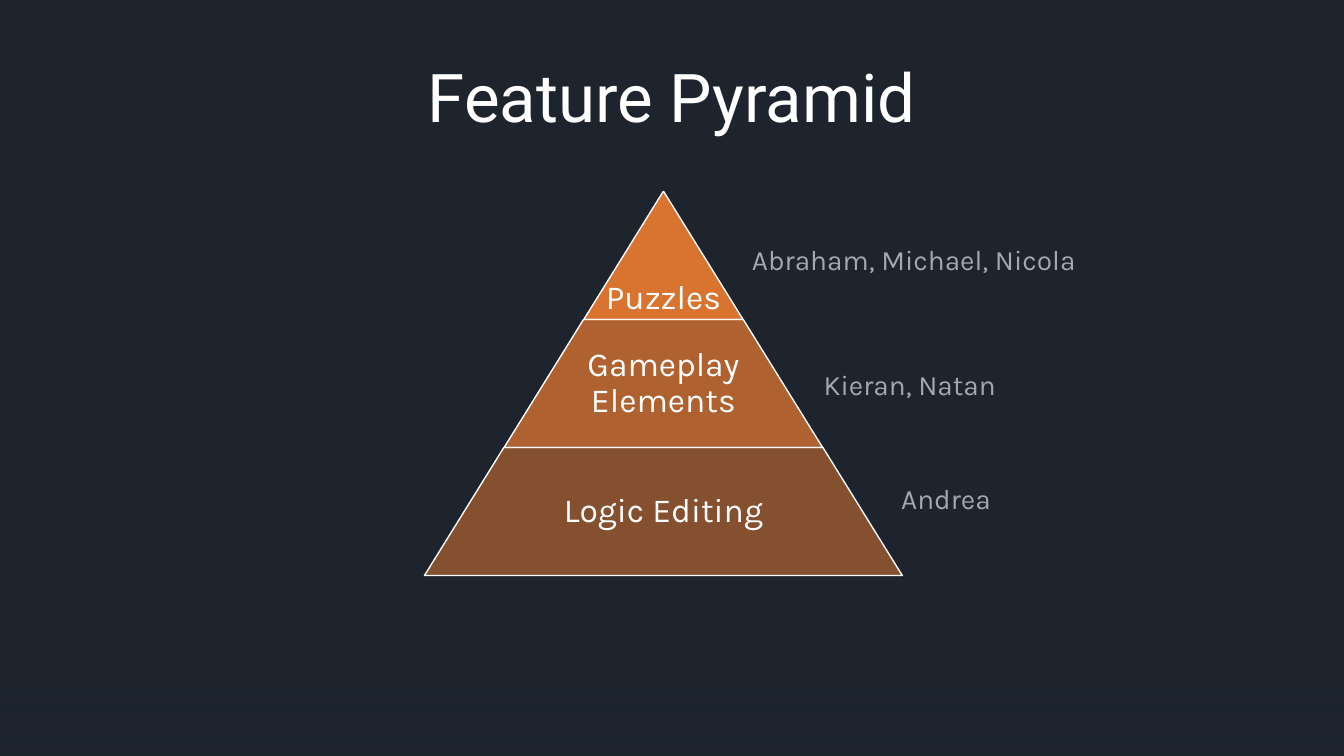
"""Build the Feature Pyramid slide: three tiers with the people behind each."""
from dataclasses import dataclass

from lxml import etree
from pptx import Presentation
from pptx.dml.color import RGBColor
from pptx.enum import shapes, text
from pptx.oxml import ns
from pptx.util import Inches, Pt

NIGHT, ORANGE, WHITE = "1D242E", "ED7D31", "FFFFFF"
SLIDE_WIDTH, SLIDE_HEIGHT = 13.33, 7.5
APEX_X, APEX_Y = 6.58, 1.9
TIER_HEIGHT, TIER_STEP = 1.27, 1.58
SLOPE = 0.62


@dataclass
class Tier:
    label: str
    label_width: float
    anchor: text.MSO_ANCHOR
    opacity: int
    team: str
    team_left: float
    team_top: float


TIERS = [
    Tier("Puzzles", 1.58, text.MSO_ANCHOR.BOTTOM, 90, "Abraham, Michael, Nicola", 7.36, 2.32),
    Tier("Gameplay Elements", 2.06, text.MSO_ANCHOR.MIDDLE, 70, "Kieran, Natan", 8.07, 3.56),
    Tier("Logic Editing", 3.09, text.MSO_ANCHOR.MIDDLE, 50, "Andrea", 8.84, 4.69),
]


def color(value: str) -> RGBColor:
    return RGBColor.from_string(value)


def set_opacity(element, *percents: int) -> None:
    for tint, percent in zip(element.iter(ns.qn("a:srgbClr")), percents):
        etree.SubElement(tint, ns.qn("a:alpha")).set("val", str(percent * 1000))


def add_block(slide, kind, left: float, top: float, width: float, height: float):
    block = slide.shapes.add_shape(kind, Inches(left), Inches(top), Inches(width), Inches(height))
    block.shadow.inherit = False
    block.line.fill.background()
    return block


def add_words(slide, words: str, left: float, top: float, width: float, height: float,
              size: int, font: str = "Karla", align=text.PP_ALIGN.CENTER,
              anchor=text.MSO_ANCHOR.MIDDLE, inset: float | None = None,
              spacing: float | None = None, opacity: int = 100) -> None:
    box = slide.shapes.add_textbox(Inches(left), Inches(top), Inches(width), Inches(height))
    frame = box.text_frame
    frame.word_wrap = True
    frame.vertical_anchor = anchor
    if inset is not None:
        frame.margin_left = frame.margin_right = Inches(inset)
        frame.margin_top = frame.margin_bottom = Inches(inset)
    paragraph = frame.paragraphs[0]
    paragraph.alignment = align
    paragraph.line_spacing = spacing
    run = paragraph.add_run()
    run.text = words
    run.font.name = font
    run.font.size = Pt(size)
    run.font.color.rgb = color(WHITE)
    if opacity < 100:
        set_opacity(box.element, opacity)


def add_backdrop(slide) -> None:
    slide.background.fill.solid()
    slide.background.fill.fore_color.rgb = color(NIGHT)
    base = add_block(slide, shapes.MSO_SHAPE.RECTANGLE, 0, 0, SLIDE_WIDTH, SLIDE_HEIGHT)
    base.fill.solid()
    base.fill.fore_color.rgb = color(NIGHT)


def add_fade(slide) -> None:
    fade = add_block(slide, shapes.MSO_SHAPE.RECTANGLE, 0, 6.31, SLIDE_WIDTH, 1.19)
    fade.fill.gradient()
    fade.fill.gradient_angle = 270
    for stop, position in zip(fade.fill.gradient_stops, (0.4, 1)):
        stop.position = position
        stop.color.rgb = color(NIGHT)
    set_opacity(fade.element, 0, 60)


def add_tier(slide, level: int, tier: Tier) -> None:
    top = APEX_Y + level * TIER_HEIGHT
    width = TIER_STEP * (level + 1)
    slab = add_block(slide, shapes.MSO_SHAPE.TRAPEZOID, APEX_X - width / 2, top, width, TIER_HEIGHT)
    slab.adjustments[0] = SLOPE
    slab.fill.solid()
    slab.fill.fore_color.rgb = color(ORANGE)
    set_opacity(slab.element, tier.opacity)
    slab.line.color.rgb = color(WHITE)
    slab.line.width = Pt(1)
    add_words(slide, tier.label, APEX_X - tier.label_width / 2, top, tier.label_width,
              TIER_HEIGHT, 24, anchor=tier.anchor, inset=0.03, spacing=0.9)


def main() -> None:
    deck = Presentation()
    deck.slide_width, deck.slide_height = Inches(SLIDE_WIDTH), Inches(SLIDE_HEIGHT)
    slide = deck.slides.add_slide(deck.slide_layouts[6])
    add_backdrop(slide)
    add_words(slide, "Feature Pyramid", 3.18, 0.41, 6.97, 1.08, 48, font="Roboto", inset=0)
    add_fade(slide)
    for level, tier in enumerate(TIERS):
        add_tier(slide, level, tier)
        add_words(slide, tier.team, tier.team_left, tier.team_top, 3.45, 0.49, 20,
                  align=text.PP_ALIGN.LEFT, anchor=text.MSO_ANCHOR.TOP, spacing=1.1, opacity=60)
    deck.save("out.pptx")


if __name__ == "__main__":
    main()
